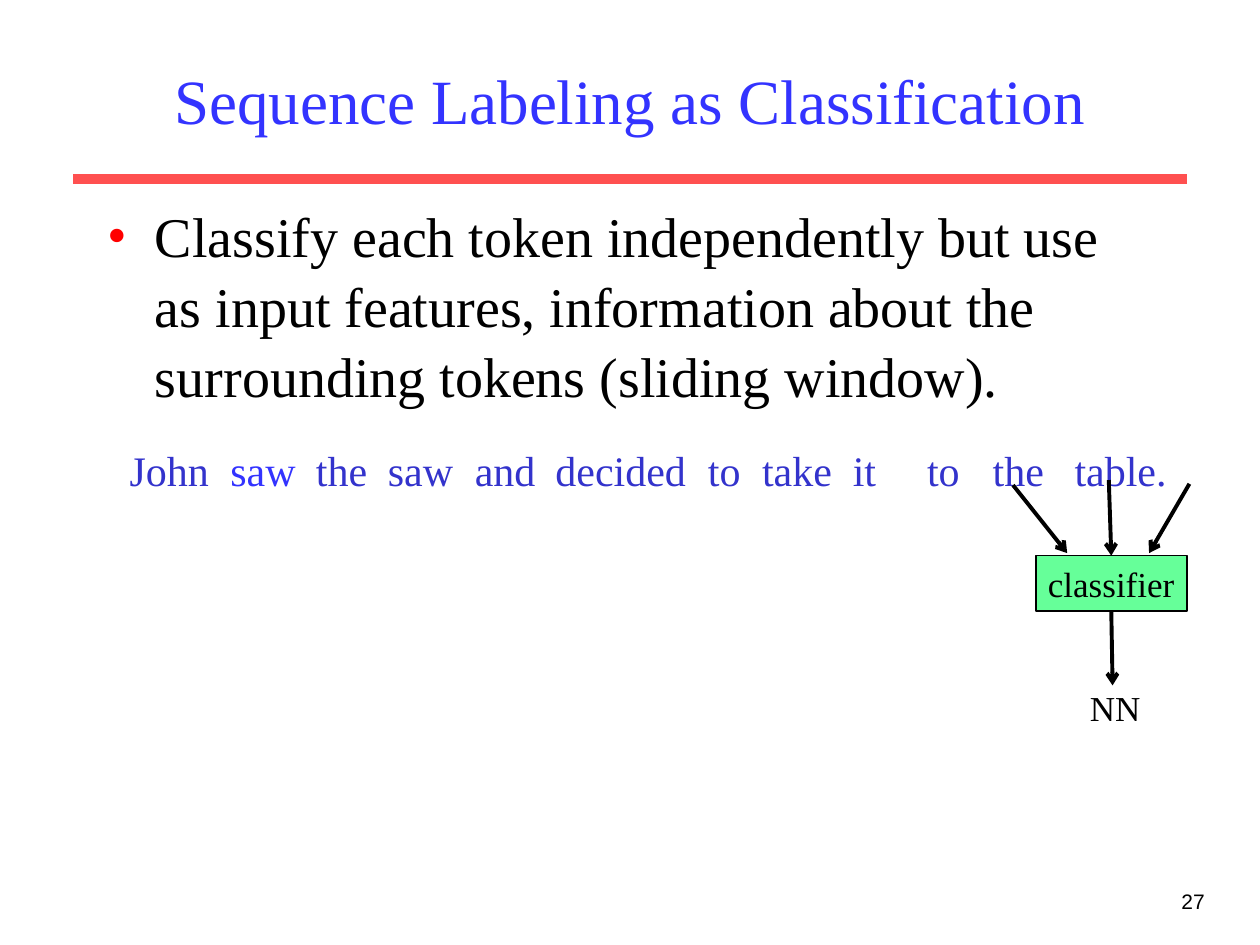
from lxml import etree
from pptx import Presentation
from pptx.dml.color import RGBColor
from pptx.enum.shapes import MSO_CONNECTOR, MSO_SHAPE
from pptx.enum.text import MSO_ANCHOR, PP_ALIGN
from pptx.oxml.ns import qn
from pptx.util import Inches, Pt

LEFT, CENTER, RIGHT = PP_ALIGN.LEFT, PP_ALIGN.CENTER, PP_ALIGN.RIGHT
MIDDLE, TOP = MSO_ANCHOR.MIDDLE, MSO_ANCHOR.TOP
STRAIGHT, RECTANGLE = MSO_CONNECTOR.STRAIGHT, MSO_SHAPE.RECTANGLE
BLACK = RGBColor(0x00, 0x00, 0x00)
BLUE = RGBColor(0x33, 0x33, 0xFF)
DARK_BLUE = RGBColor(0x33, 0x33, 0xCC)
CORAL = RGBColor(0xFF, 0x50, 0x50)
GREEN = RGBColor(0x66, 0xFF, 0x99)
SERIF, SANS = "Times New Roman", "Arial"

# Each word of the sentence with its offset in inches from the first one
WORDS = [("John", 0), ("saw", 0.8), ("the", 1.48), ("saw", 2.05),
         ("and", 2.74), ("decided", 3.38), ("to", 4.59), ("take", 5.02),
         ("it", 5.74), ("to", 6.33), ("the", 6.85), ("table.", 7.5)]
HIGHLIGHTED_WORD = 1


def place(sp, box):
    sp.left, sp.top, sp.width, sp.height = [Inches(v) for v in box]


def style_font(font, size, color=BLACK, name=SERIF):
    font.size, font.name = Pt(size), name
    font.color.rgb = color


def write(sp, text, size, color=BLACK, name=SERIF, align=LEFT, anchor=TOP):
    tf = sp.text_frame
    tf.text = text
    tf.vertical_anchor = anchor
    p = tf.paragraphs[0]
    p.alignment = align
    style_font(p.runs[0].font, size, color, name)
    return p


def add_label(slide, box, text, size, **style):
    sp = slide.shapes.add_textbox(*[Inches(v) for v in box])
    sp.text_frame.word_wrap = True
    return write(sp, text, size, **style)


def add_line(slide, start, end, color=BLACK, width=2.25, arrow=True):
    line = slide.shapes.add_connector(
        STRAIGHT, *[Inches(v) for v in (*start, *end)])
    line.line.color.rgb = color
    line.line.width = Pt(width)
    if arrow:
        etree.SubElement(line.line._get_or_add_ln(), qn("a:tailEnd"), type="arrow")
    etree.SubElement(line._element.spPr, qn("a:effectLst"))
    return line


def add_heading(slide, box):
    left, top, width, height = box
    title = slide.shapes.title
    place(title, box)
    write(title, "Sequence Labeling as Classification", 36, BLUE,
          align=CENTER, anchor=MIDDLE)
    rule_y = top + height + 0.09
    add_line(slide, (left - 0.17, rule_y), (left + width + 0.17, rule_y),
             CORAL, 6, arrow=False)


def add_body(slide, box):
    body = slide.placeholders[1]
    place(body, box)
    body.text_frame.margin_top = Inches(0.08)
    p = write(body, "Classify each token independently but use as input "
              "features, information about the surrounding tokens "
              "(sliding window).", 32)
    p.line_spacing = 1.04
    p.space_before = Pt(0)
    pPr = p._p.get_or_add_pPr()
    pPr.set("marL", str(Inches(0.38)))
    pPr.set("indent", str(-Inches(0.38)))
    bullet_color = etree.SubElement(pPr, qn("a:buClr"))
    etree.SubElement(bullet_color, qn("a:srgbClr"), val="FF0000")
    etree.SubElement(pPr, qn("a:buFont"), typeface=SERIF)
    etree.SubElement(pPr, qn("a:buChar"), char="•")


def add_sentence(slide, box):
    """Set the words at tab stops, with one word highlighted."""
    p = add_label(slide, box, WORDS[0][0], 24, color=DARK_BLUE)
    tabs = etree.SubElement(p._p.get_or_add_pPr(), qn("a:tabLst"))
    for i, (word, offset) in enumerate(WORDS[1:], 1):
        etree.SubElement(tabs, qn("a:tab"), pos=str(Inches(offset)), algn="l")
        r = p.add_run()
        r.text = "\t" + word
        style_font(r.font, 24, BLUE if i == HIGHLIGHTED_WORD else DARK_BLUE)


def add_classifier(slide, box):
    """Draw the classifier with its three inputs and its output tag."""
    left, top, width, height = box
    center, bottom = left + width / 2, top + height
    sp = slide.shapes.add_shape(RECTANGLE, *[Inches(v) for v in box])
    sp.shadow.inherit = False
    sp.fill.solid()
    sp.fill.fore_color.rgb = GREEN
    sp.line.color.rgb = BLACK
    sp.line.width = Pt(1)
    sp.text_frame.word_wrap = False
    write(sp, "classifier", 20, align=CENTER, anchor=MIDDLE)

    tip_y = top - 0.02
    add_line(slide, (left - 0.18, top - 0.56), (left + 0.25, tip_y))
    add_line(slide, (left + width + 0.02, top - 0.57),
             (left + width - 0.3, tip_y))
    middle = add_line(slide, (center - 0.02, top - 0.6), (center, top))
    middle.end_connect(sp, 0)
    output = add_line(slide, (center, bottom), (center + 0.01, bottom + 0.59))
    output.begin_connect(sp, 2)
    add_label(slide, (center - 0.27, bottom + 0.55, 0.6, height), "NN", 20,
              align=CENTER)


def main():
    prs = Presentation()
    prs.slide_width, prs.slide_height = Inches(10), Inches(7.5)
    slide = prs.slides.add_slide(prs.slide_layouts[1])
    add_heading(slide, (0.75, 0.25, 8.5, 1.08))
    add_body(slide, (0.75, 1.5, 8.5, 5.13))
    add_sentence(slide, (0.93, 3.48, 8.44, 0.5))
    add_classifier(slide, (8.22, 4.41, 1.2, 0.44))
    add_label(slide, (7.58, 7, 2.08, 0.5), "27", 12, name=SANS, align=RIGHT)
    prs.save("out.pptx")


if __name__ == "__main__":
    main()
